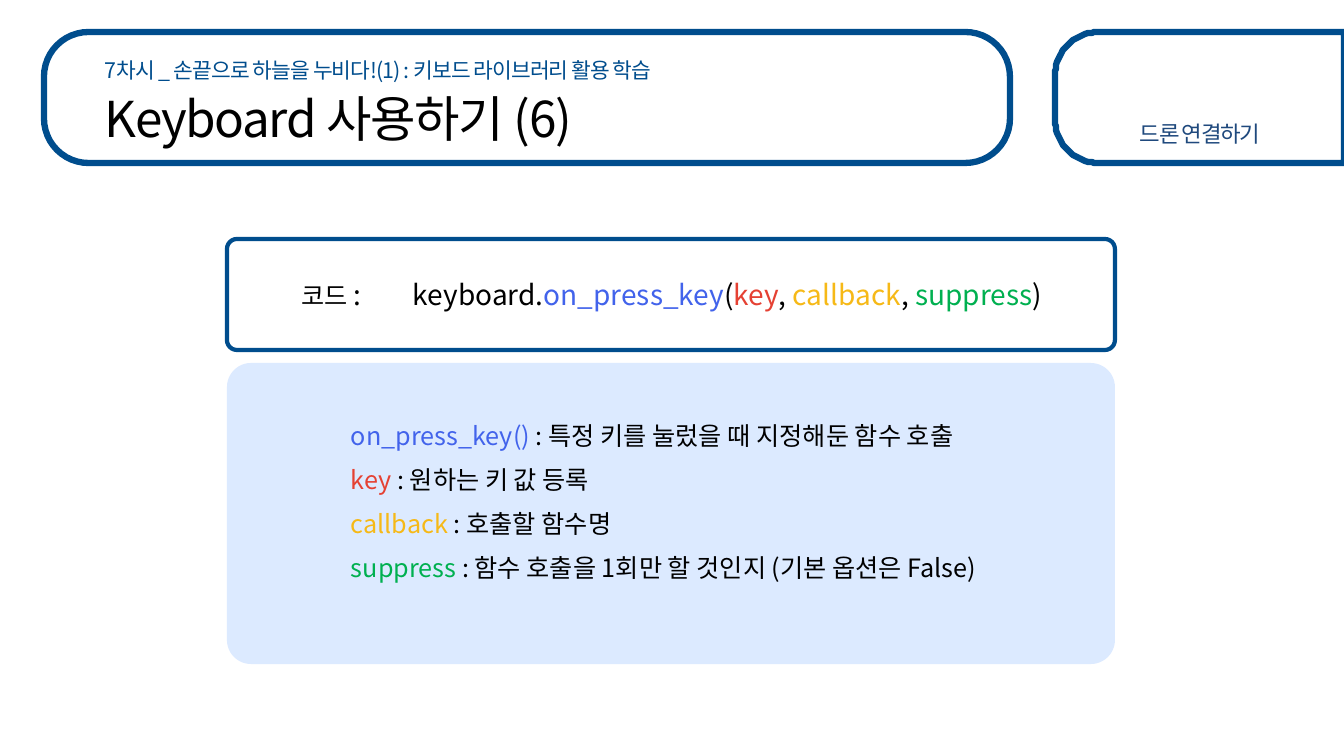
import math

import pptx
import pptx.dml.color
import pptx.enum.shapes
import pptx.enum.text
import pptx.oxml.ns
import pptx.util
from lxml import etree

RGBColor = pptx.dml.color.RGBColor
WHITE = RGBColor(0xFF, 0xFF, 0xFF)
BLACK = RGBColor(0, 0, 0)
NAVY = RGBColor(0x00, 0x4D, 0x8D)
SLATE = RGBColor(0x1F, 0x49, 0x7D)
PALE = RGBColor(0xDC, 0xEA, 0xFF)
BLUE = RGBColor(0x42, 0x63, 0xEB)
RED = RGBColor(0xE5, 0x41, 0x33)
YELLOW = RGBColor(0xF6, 0xB9, 0x17)
GREEN = RGBColor(0x00, 0xB0, 0x50)

FONT = "Noto Sans CJK KR"
PX = 914400 / 100.8
W, H = 1344, 756
qn = pptx.oxml.ns.qn

prs = pptx.Presentation()
prs.slide_width, prs.slide_height = round(W * PX), round(H * PX)
s = prs.slides.add_slide(prs.slide_layouts[6])


def style(sp, fill, line, width):
    sp.shadow.inherit = False
    if fill is None:
        sp.fill.background()
    else:
        sp.fill.solid()
        sp.fill.fore_color.rgb = fill
    if line is None:
        sp.line.fill.background()
    else:
        sp.line.color.rgb = line
        sp.line.width = pptx.util.Pt(width)


def add_text(box, paragraphs, inset=5, align=None, space=0, tab=None):
    """Add a text box; each paragraph is a list of (text, size, colour, spacing) runs."""
    sp = s.shapes.add_textbox(*(round(v * PX) for v in box))
    tf = sp.text_frame
    tf.word_wrap = True
    tf.margin_left = tf.margin_right = round(10 * PX)
    tf.margin_top = tf.margin_bottom = round(inset * PX)
    for i, runs in enumerate(paragraphs):
        p = tf.add_paragraph() if i else tf.paragraphs[0]
        if align is not None:
            p.alignment = align
        if i:
            p.space_before = pptx.util.Pt(space)
        if tab:
            tabs = etree.SubElement(p._p.get_or_add_pPr(), qn("a:tabLst"))
            etree.SubElement(tabs, qn("a:tab"), pos=str(round(tab * PX)), algn="l")
        for text, size, color, spacing in runs:
            r = p.add_run()
            r.text = text
            r.font.size = pptx.util.Pt(size)
            r.font.color.rgb = color
            r.font.name = FONT
            rPr = r._r.get_or_add_rPr()
            etree.SubElement(rPr, qn("a:ea"), typeface=FONT)
            if spacing:
                rPr.set("spc", str(round(spacing * 100)))


# Right tab: rounded on the left, cut off by the slide edge
left, top, bottom, radius = 1055, 32, 163, 44
outline = [(W, bottom)]
for cy, start in ((bottom - radius, 90), (top + radius, 180)):
    for step in range(31):
        angle = math.radians(start + 3 * step)
        outline.append((left + radius + radius * math.cos(angle),
                        cy + radius * math.sin(angle)))
outline.append((W, top))
fb = s.shapes.build_freeform(W, top, scale=PX)
fb.add_line_segments(outline, close=True)
style(fb.convert_to_shape(), WHITE, NAVY, 4.5)

# Header, explanation panel and code frame
for box, adj, fill, line, width in (
    ((44, 32, 966, 131), 0.34, WHITE, NAVY, 4.5),
    ((227, 363, 888, 301), 0.08, PALE, None, 0),
    ((227, 239, 888, 111), 0.09, None, NAVY, 3),
):
    sp = s.shapes.add_shape(pptx.enum.shapes.MSO_SHAPE.ROUNDED_RECTANGLE,
                            *(round(v * PX) for v in box))
    sp.adjustments[0] = adj
    style(sp, fill, line, width)

add_text((95, 52, 868, 31), [[
    ("7차시 _ ", 15.3, NAVY, -1),
    ("손끝으로 하늘을 누비다!(1) : 키보드 라이브러리 활용 학습", 15.3, NAVY, -0.7)]])
add_text((95, 83, 868, 59), [[("Keyboard 사용하기 (6)", 35.3, BLACK, -1)]])
add_text((1115, 115, 170, 39), [[("드론 연결하기", 16, SLATE, -1)]],
         align=pptx.enum.text.PP_ALIGN.CENTER)

code = [("코드", 18, BLACK, 0)]
for text, color in (
    (" :\tkeyboard.", BLACK), ("on_press_key", BLUE), ("(", BLACK), ("key", RED),
    (", ", BLACK), ("callback", YELLOW), (", ", BLACK), ("suppress", GREEN), (")", BLACK),
):
    code.append((text, 20, color, 0))
add_text((291, 272, 787, 44), [code], tab=112)

terms = (
    ("on_press_key() ", BLUE, ": 특정 키를 눌렀을 때 지정해둔 함수 호출"),
    ("key ", RED, ": 원하는 키 값 등록"),
    ("callback ", YELLOW, ": 호출할 함수명"),
    ("suppress", GREEN, " : 함수 호출을 1회만 할 것인지 (기본 옵션은 False)"),
)
add_text((341, 410, 661, 207),
         [[(term, 18, color, 0), (meaning, 18, BLACK, 0)] for term, color, meaning in terms],
         inset=10, space=10)

prs.save("out.pptx")
